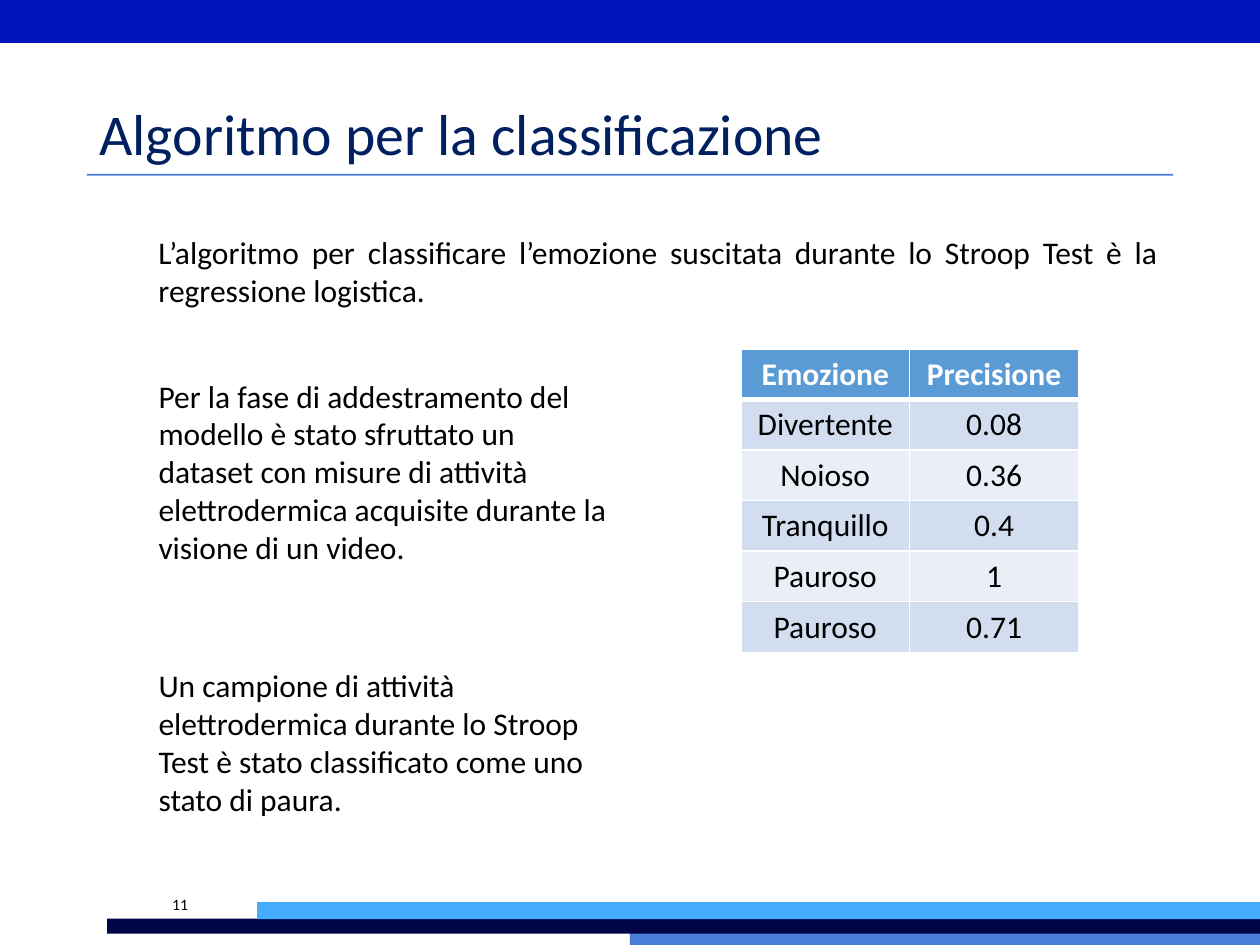
"""Build the slide on the emotion classification algorithm and its precision table."""
from lxml.etree import SubElement
from pptx import Presentation
from pptx.dml.color import RGBColor
from pptx.enum.shapes import MSO_SHAPE
from pptx.enum.text import MSO_ANCHOR, PP_ALIGN
from pptx.oxml.ns import qn
from pptx.util import Inches, Pt

COLORS = {
    "banner": "0215BD", "rule": "4A7DD8", "navy": "000548", "sky": "46ACFE",
    "title": "002060", "text": "000000", "white": "FFFFFF",
    "header": "5B9BD5", "odd_row": "D2DEEF", "even_row": "EAEFF7",
}

presentation = Presentation()
presentation.slide_width = Inches(10)
presentation.slide_height = Inches(7.5)
slide = presentation.slides.add_slide(presentation.slide_layouts[6])


def percent_box(left, top, width, height):
    """Turn percentages of the slide into lengths."""
    column, row = presentation.slide_width / 100, presentation.slide_height / 100
    return int(left * column), int(top * row), int(width * column), int(height * row)


def write(frame, text, size, color, align, bold=False):
    """Put one formatted run in a text frame."""
    paragraph = frame.paragraphs[0]
    paragraph.alignment = align
    run = paragraph.add_run()
    run.text = text
    run.font.name = "Calibri"
    run.font.size = Pt(size)
    run.font.bold = bold
    run.font.color.rgb = RGBColor.from_string(COLORS[color])


bars = [
    ((0, -0.13, 100, 4.67), "banner"),
    ((6.9, 18.4, 86.2, 0.2), "rule"),
    ((50, 98.67, 50, 1.33), "rule"),
    ((8.5, 97.2, 91.5, 1.6), "navy"),
    ((20.4, 95.47, 79.6, 1.8), "sky"),
]
for box, color in bars:
    shape = slide.shapes.add_shape(MSO_SHAPE.RECTANGLE, *percent_box(*box))
    shape.shadow.inherit = False
    shape.fill.solid()
    shape.fill.fore_color.rgb = RGBColor.from_string(COLORS[color])
    shape.line.fill.background()

texts = [
    ((2.7, 94.13, 13.5, 3.07), "11 ", 9, "text", PP_ALIGN.RIGHT, MSO_ANCHOR.MIDDLE, 1),
    ((11.6, 24, 81.3, 9.47),
     "L’algoritmo per classificare l’emozione suscitata durante lo Stroop Test è la regressione logistica. ",
     18, "text", PP_ALIGN.JUSTIFY, MSO_ANCHOR.TOP, 1),
    ((6.9, 5.87, 77.9, 12.53), "Algoritmo per la classificazione",
     33, "title", PP_ALIGN.LEFT, MSO_ANCHOR.BOTTOM, 0.9),
    ((11.6, 39.2, 37.9, 21.6),
     "Per la fase di addestramento del modello è stato sfruttato un dataset con misure di attività "
     "elettrodermica acquisite durante la visione di un video.",
     18, "text", PP_ALIGN.LEFT, MSO_ANCHOR.TOP, 1),
    ((11.6, 69.87, 37.9, 17.47),
     "Un campione di attività elettrodermica durante lo Stroop Test è stato classificato come uno stato di paura.",
     18, "text", PP_ALIGN.LEFT, MSO_ANCHOR.TOP, 1),
]
for box, text, size, color, align, anchor, spacing in texts:
    frame = slide.shapes.add_textbox(*percent_box(*box)).text_frame
    frame.word_wrap = True
    frame.vertical_anchor = anchor
    write(frame, text, size, color, align)
    frame.paragraphs[0].line_spacing = spacing

precisions = [
    ("Emozione", "Precisione"),
    ("Divertente", "0.08"),
    ("Noioso", "0.36"),
    ("Tranquillo", "0.4"),
    ("Pauroso", "1"),
    ("Pauroso", "0.71"),
]
table = slide.shapes.add_table(
    len(precisions), 2, *percent_box(58.8, 36.93, 26.8, 5.35 * len(precisions))
).table
for row, values in enumerate(precisions):
    is_header = row == 0
    fill = "header" if is_header else "odd_row" if row % 2 else "even_row"
    for column, value in enumerate(values):
        cell = table.cell(row, column)
        properties = cell._tc.get_or_add_tcPr()
        for side in "LRTB":
            thick = (is_header and side == "B") or (row == 1 and side == "T")
            border = SubElement(properties, qn(f"a:ln{side}"), w=str(Pt(3 if thick else 1)))
            border_fill = SubElement(border, qn("a:solidFill"))
            SubElement(border_fill, qn("a:srgbClr"), val=COLORS["white"])
        cell.fill.solid()
        cell.fill.fore_color.rgb = RGBColor.from_string(COLORS[fill])
        write(cell.text_frame, value, 18, "white" if is_header else "text", PP_ALIGN.CENTER, is_header)

presentation.save("out.pptx")
